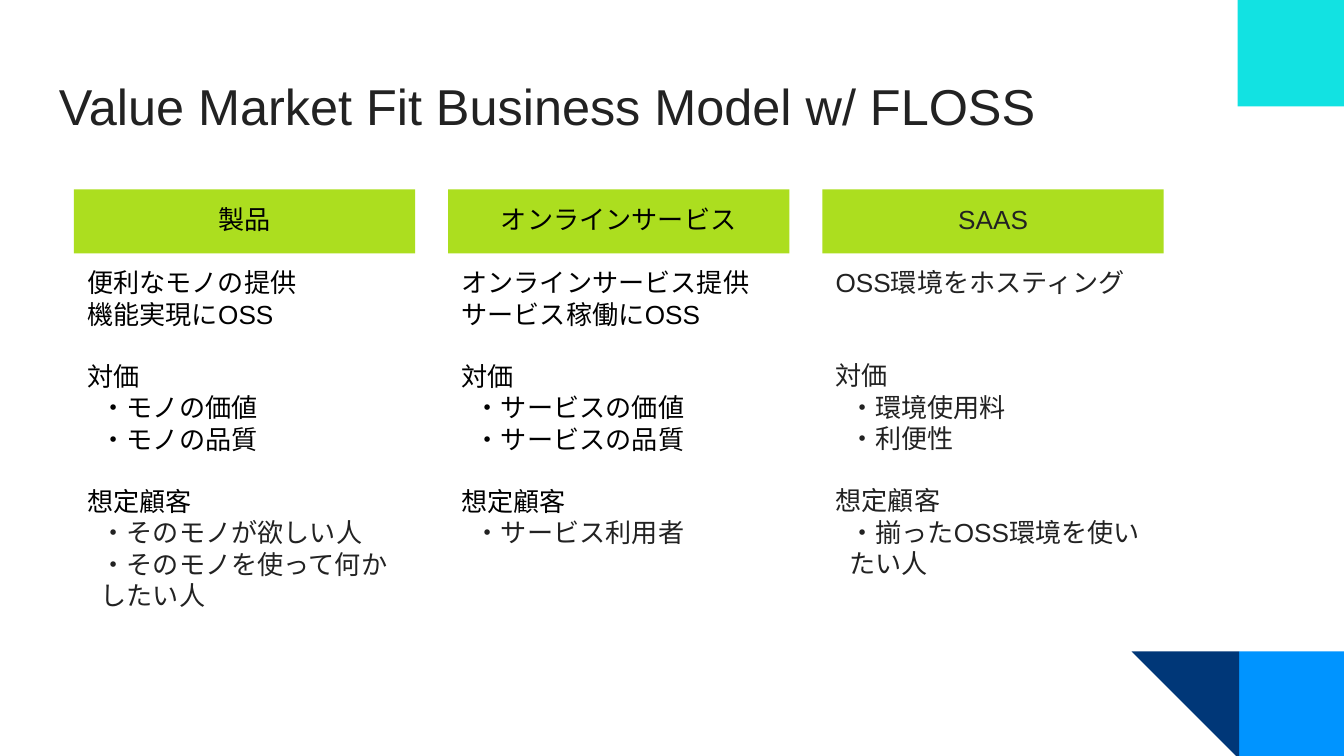
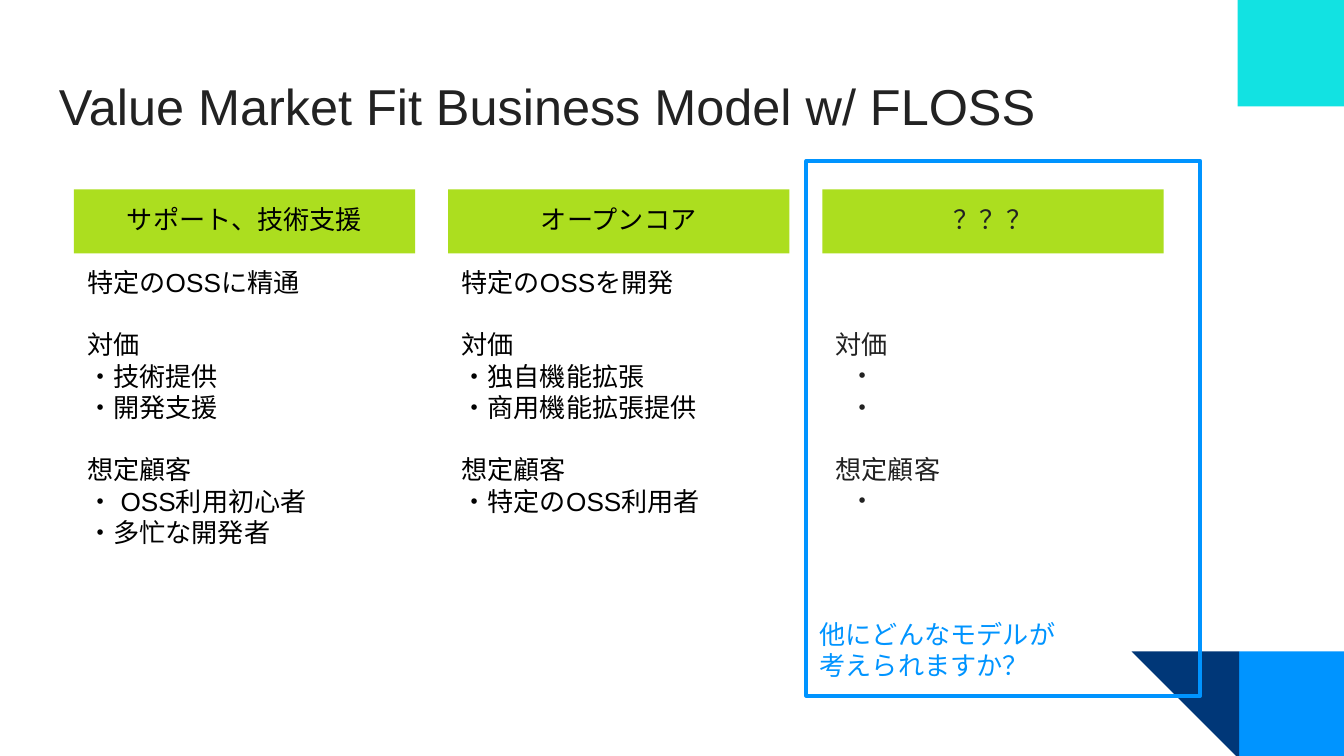
import dataclasses

import pptx
import pptx.dml.color
import pptx.enum.shapes
import pptx.enum.text
import pptx.oxml.ns
import pptx.util
from lxml import etree

Pt = pptx.util.Pt
RGBColor = pptx.dml.color.RGBColor
MSO_SHAPE = pptx.enum.shapes.MSO_SHAPE
PP_ALIGN = pptx.enum.text.PP_ALIGN
MSO_ANCHOR = pptx.enum.text.MSO_ANCHOR

# Colours
BLACK = RGBColor(0x00, 0x00, 0x00)
DARK = RGBColor(0x22, 0x22, 0x22)
BLUE = RGBColor(0x00, 0x94, 0xFF)
NAVY = RGBColor(0x00, 0x37, 0x78)
CYAN = RGBColor(0x12, 0xE2, 0xE2)
LIME = RGBColor(0xAC, 0xDE, 0x1F)

# Type and grid, in points
FONT = "Arial"
TITLE = "Value Market Fit Business Model w/ FLOSS"
TITLE_SIZE, BODY_SIZE = 27, 14
INSET = 7.2
BLANK_LINE = 16.5
COLUMN_LEFT, COLUMN_PITCH, COLUMN_WIDTH = 39.6, 200.5, 182.9
HEADING_TOP, HEADING_HEIGHT, BODY_HEIGHT = 101.5, 34.2, 203.8


@dataclasses.dataclass
class Column:
    heading: str
    intro: list
    values: list
    customers: list
    color: RGBColor = BLACK
    customer_color: RGBColor = BLACK
    indent: float = INSET
    gap_lines: int = 1


def write_text(paragraph, text, *, size=BODY_SIZE, color=BLACK, align=PP_ALIGN.LEFT,
               space_before=0, indent=0):
    paragraph.alignment = align
    paragraph.space_before = Pt(space_before)
    if indent:
        paragraph._p.get_or_add_pPr().set("marL", str(Pt(indent)))
    run = paragraph.add_run()
    run.text = text
    run.font.name = FONT
    run.font.size = Pt(size)
    run.font.color.rgb = color
    east_asian = etree.SubElement(run._r.get_or_add_rPr(), pptx.oxml.ns.qn("a:ea"))
    east_asian.set("typeface", FONT)


class Deck:
    def __init__(self):
        self.presentation = pptx.Presentation()
        self.presentation.slide_width = Pt(720)
        self.presentation.slide_height = Pt(405)
        self.slide = None

    def add_slide(self):
        layout = self.presentation.slide_layouts[6]
        self.slide = self.presentation.slides.add_slide(layout)
        # Corner decoration
        self.shape(663.8, 349, 56.7, 56.7, fill=BLUE)
        triangle = self.shape(606.2, 349, 57.6, 57.6, fill=NAVY, kind=MSO_SHAPE.RIGHT_TRIANGLE)
        triangle.rotation = 180
        self.shape(663, 0, 57, 57, fill=CYAN)
        # Title
        frame = self.text_box(24.5, 32.4, 671, 47.5, anchor=MSO_ANCHOR.BOTTOM)
        write_text(frame.paragraphs[0], TITLE, size=TITLE_SIZE, color=DARK)

    def shape(self, left, top, width, height, *, fill=None, line=None,
              kind=MSO_SHAPE.RECTANGLE):
        shape = self.slide.shapes.add_shape(kind, Pt(left), Pt(top), Pt(width), Pt(height))
        shape.shadow.inherit = False
        if fill is None:
            shape.fill.background()
        else:
            shape.fill.solid()
            shape.fill.fore_color.rgb = fill
        if line is None:
            shape.line.fill.background()
        else:
            shape.line.color.rgb = line
            shape.line.width = Pt(2)
        return shape

    def set_frame(self, frame, top_inset=INSET, anchor=MSO_ANCHOR.TOP):
        frame.word_wrap = True
        frame.vertical_anchor = anchor
        frame.margin_left = frame.margin_right = frame.margin_bottom = Pt(INSET)
        frame.margin_top = Pt(top_inset)
        return frame

    def text_box(self, left, top, width, height, **frame_format):
        box = self.slide.shapes.add_textbox(Pt(left), Pt(top), Pt(width), Pt(height))
        return self.set_frame(box.text_frame, **frame_format)

    def lines(self, frame, lines):
        """Write (text, format) pairs, one paragraph each."""
        for index, (text, text_format) in enumerate(lines):
            paragraph = frame.paragraphs[0] if index == 0 else frame.add_paragraph()
            write_text(paragraph, text, **text_format)

    def column(self, index, column):
        left = COLUMN_LEFT + index * COLUMN_PITCH
        heading = self.shape(left, HEADING_TOP, COLUMN_WIDTH, HEADING_HEIGHT, fill=LIME)
        frame = self.set_frame(heading.text_frame)
        write_text(frame.paragraphs[0], column.heading, color=column.color,
                   align=PP_ALIGN.CENTER)

        # Without an introduction, the gap becomes part of the top inset
        gap = column.gap_lines * BLANK_LINE
        first_gap, top_inset = (gap, INSET) if column.intro else (0, INSET + gap)
        plain = {"color": column.color}
        lines = [(text, plain) for text in column.intro]
        lines.append(("対価", {**plain, "space_before": first_gap}))
        lines += [("・" + text, {**plain, "indent": column.indent}) for text in column.values]
        lines.append(("想定顧客", {**plain, "space_before": BLANK_LINE}))
        lines += [("・" + text, {"color": column.customer_color, "indent": column.indent})
                  for text in column.customers]
        body = self.text_box(left, HEADING_TOP + HEADING_HEIGHT, COLUMN_WIDTH, BODY_HEIGHT,
                             top_inset=top_inset)
        self.lines(body, lines)

    def columns(self, columns):
        for index, column in enumerate(columns):
            self.column(index, column)


PRODUCT_MODELS = [
    Column("製品", ["便利なモノの提供", "機能実現にOSS"], ["モノの価値", "モノの品質"],
           ["そのモノが欲しい人", "そのモノを使って何かしたい人"], customer_color=DARK),
    Column("オンラインサービス", ["オンラインサービス提供", "サービス稼働にOSS"],
           ["サービスの価値", "サービスの品質"], ["サービス利用者"], customer_color=DARK),
    Column("SAAS", ["OSS環境をホスティング"], ["環境使用料", "利便性"],
           ["揃ったOSS環境を使いたい人"], color=DARK, customer_color=DARK, gap_lines=2),
]
SUPPORT_MODELS = [
    Column("サポート、技術支援", ["特定のOSSに精通"], ["技術提供", "開発支援"],
           [" OSS利用初心者", "多忙な開発者"], indent=0),
    Column("オープンコア", ["特定のOSSを開発"], ["独自機能拡張", "商用機能拡張提供"],
           ["特定のOSS利用者"], indent=0),
    Column("？？？", [], ["", ""], [""], color=DARK, customer_color=DARK, gap_lines=2),
]


def main():
    deck = Deck()

    # Slide 1: products and services
    deck.add_slide()
    deck.columns(PRODUCT_MODELS)

    # Slide 2: support, open core and an open question
    deck.add_slide()
    deck.columns(SUPPORT_MODELS)
    deck.shape(432, 86.2, 211, 286.6, line=BLUE)
    question = deck.text_box(432, 327.6, 154, 41, top_inset=3.6)
    deck.lines(question, [(text, {"color": BLUE})
                          for text in ("他にどんなモデルが", "考えられますか？")])

    deck.presentation.save("out.pptx")


if __name__ == "__main__":
    main()
